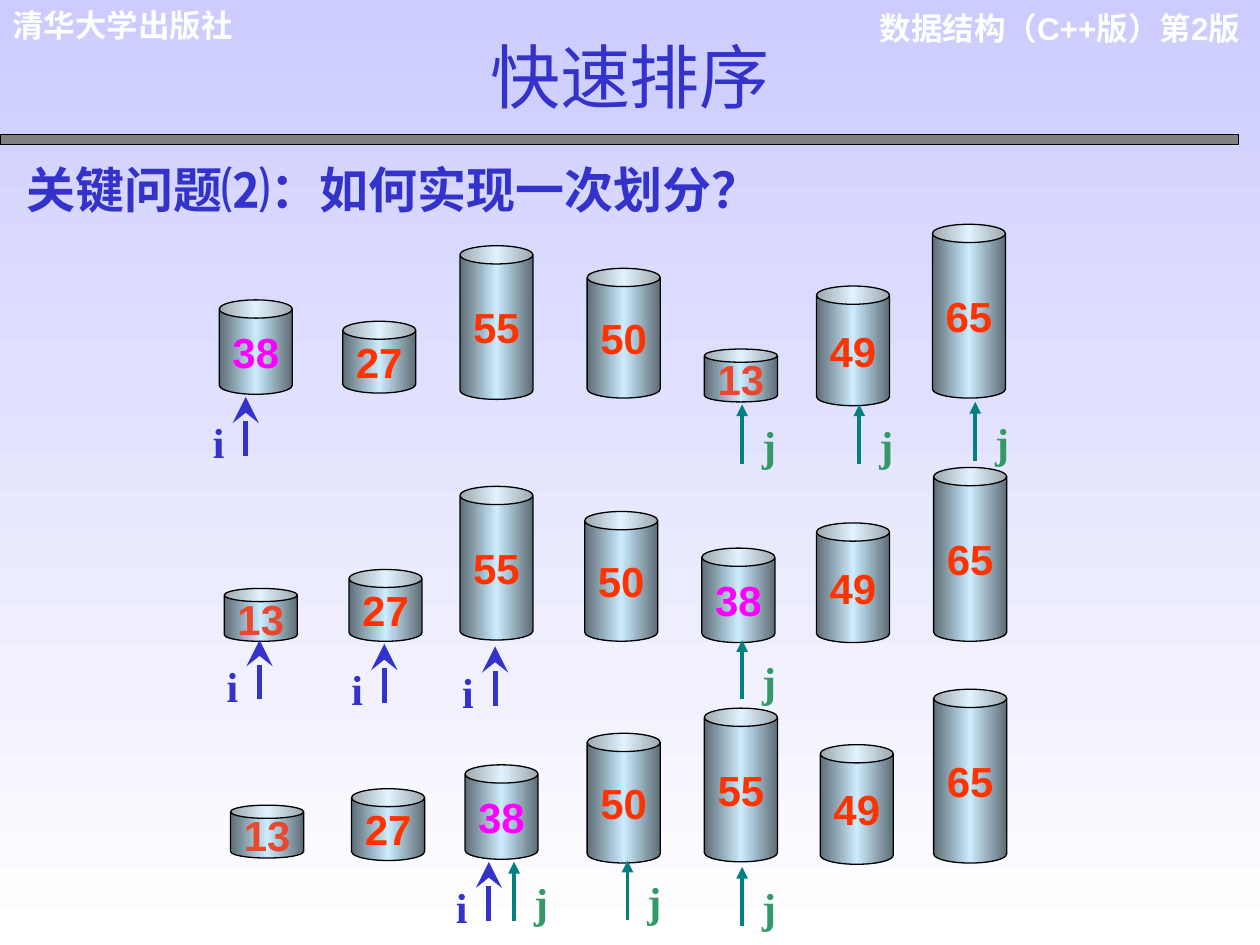
from lxml import etree
from pptx import Presentation
from pptx.dml.color import RGBColor
from pptx.enum.shapes import MSO_CONNECTOR, MSO_SHAPE
from pptx.enum.text import MSO_ANCHOR, MSO_AUTO_SIZE, PP_ALIGN
from pptx.oxml.ns import qn
from pptx.util import Pt

PX = 9144  # 100 px to the inch
LEFT, CENTER, RIGHT = PP_ALIGN.LEFT, PP_ALIGN.CENTER, PP_ALIGN.RIGHT
MIDDLE, TOP, BOTTOM = MSO_ANCHOR.MIDDLE, MSO_ANCHOR.TOP, MSO_ANCHOR.BOTTOM
GROW, FIXED = MSO_AUTO_SIZE.SHAPE_TO_FIT_TEXT, MSO_AUTO_SIZE.NONE
CAN, RECTANGLE, STRAIGHT = MSO_SHAPE.CAN, MSO_SHAPE.RECTANGLE, MSO_CONNECTOR.STRAIGHT
CJK = "Noto Sans CJK SC"
COLORS = {
    "sky": "CCCCFF", "white": "FFFFFF", "black": "000000", "gray": "808080",
    "steel": "5E6D76", "shine": "CCECFF", "blue": "3333CC", "teal": "008080",
    "green": "339966", "orange": "FF3300", "brick": "E8492E", "pink": "FF00FF",
}
COLORS = {name: RGBColor.from_string(code) for name, code in COLORS.items()}


def set_text(box, spans, size, color, bold=True, align=LEFT, anchor=TOP,
             wrap=True, auto_size=FIXED):
    frame = box.text_frame
    layout = {"word_wrap": wrap, "auto_size": auto_size, "vertical_anchor": anchor}
    for name, value in layout.items():
        setattr(frame, name, value)
    para = frame.paragraphs[0]
    para.alignment = align
    for text, font_name in spans:
        span = para.add_run()
        span.text = text
        for name, value in {"size": Pt(size), "bold": bold, "name": font_name}.items():
            setattr(span.font, name, value)
        span.font.color.rgb = COLORS[color]
        etree.SubElement(span.font._element, qn("a:ea"), typeface=CJK)


def set_gradient(fill, colors, angle):
    fill.gradient()
    fill.gradient_angle = angle
    stops = fill._fill._gradFill.find(qn("a:gsLst"))
    for stop in list(stops):
        stops.remove(stop)
    for index, name in enumerate(colors):
        position = 100000 * index // (len(colors) - 1)
        stop = etree.SubElement(stops, qn("a:gs"), pos=str(position))
        etree.SubElement(stop, qn("a:srgbClr"), val=str(COLORS[name]))


deck = Presentation()
deck.slide_width, deck.slide_height = 1000 * PX, 750 * PX
page = deck.slides.add_slide(deck.slide_layouts[6])
set_gradient(page.background.fill, ["sky", "white"], 270)

# Header bar
bar = page.shapes.add_shape(RECTANGLE, 0, 107 * PX, 983 * PX, 8 * PX)
bar.shadow.inherit = False
bar.fill.solid()
bar.fill.fore_color.rgb = COLORS["gray"]
bar.line.color.rgb = COLORS["black"]
bar.line.width = Pt(0.75)

# Header, title and question
texts = [
    ((677, 2, 317, 70), [("数据结构（C++版）第2版", "Arial")],
     {"size": 18, "color": "white", "align": RIGHT, "auto_size": GROW}),
    ((0, 0, 271, 40), [("清华大学出版社", "Arial")],
     {"size": 18, "color": "white", "auto_size": GROW}),
    ((11, 122, 828, 57), [("关键问题⑵：", CJK), ("如何实现一次划分？", "Arial")],
     {"size": 28, "color": "blue", "auto_size": GROW}),
    ((0, 25, 1000, 73), [("快速", "Lato"), ("排序", CJK)],
     {"size": 40, "color": "blue", "bold": False, "align": CENTER, "anchor": BOTTOM}),
]
for place, spans, style in texts:
    box = page.shapes.add_textbox(*[length * PX for length in place])
    set_text(box, spans, **style)

# Title shadow
title = box
for span in title.text_frame.paragraphs[0].runs:
    effects = etree.Element(qn("a:effectLst"))
    shadow = etree.SubElement(effects, qn("a:outerShdw"), dist="25400", dir="2700000")
    etree.SubElement(shadow, qn("a:srgbClr"), val=str(COLORS["gray"]))
    span.font._element.find(qn("a:solidFill")).addnext(effects)

# Cylinders: each row lists (value, left, top)
heights = {13: 42, 27: 57, 38: 75, 49: 95, 50: 103, 55: 122, 65: 138}
value_colors = {13: "brick", 38: "pink"}
rows = [
    [(38, 174, 238), (27, 272, 255), (55, 365, 195), (50, 466, 213),
     (13, 559, 277), (49, 648, 227), (65, 740, 178)],
    [(13, 178, 467), (27, 277, 452), (55, 365, 386), (50, 464, 406),
     (38, 557, 435), (49, 648, 415), (65, 741, 371)],
    [(13, 183, 639), (27, 279, 626), (38, 369, 607), (50, 466, 582),
     (55, 559, 562), (49, 651, 591), (65, 741, 547)],
]
for row in rows:
    for value, left, top in row:
        can = page.shapes.add_shape(CAN, left * PX, top * PX, 58 * PX, heights[value] * PX)
        can.shadow.inherit = False
        set_gradient(can.fill, ["steel", "shine", "steel"], 0)
        can.line.color.rgb = COLORS["black"]
        can.line.width = Pt(0.75)
        set_text(can, [(str(value), "Arial")], 24, value_colors.get(value, "orange"),
                 align=CENTER, anchor=MIDDLE, wrap=False)

# Index pointers: tips of the arrows, with the label beside each
pointers = {
    "i": {"tips": [(195, 315), (206, 508), (305, 511), (393, 513), (388, 684)],
          "line": "blue", "text": "blue", "width": 3, "head": "stealth",
          "head_size": "lg", "shift": (-36, 11)},
    "j": {"tips": [(774, 319), (682, 321), (589, 321), (589, 508), (498, 683),
                   (408, 684), (589, 688)],
          "line": "teal", "text": "green", "width": 2.25, "head": "triangle",
          "head_size": "med", "shift": (6, 7)},
}
for label, style in pointers.items():
    for x, y in style["tips"]:
        arrow = page.shapes.add_connector(STRAIGHT, x * PX, (y + 47) * PX, x * PX, y * PX)
        arrow.line.color.rgb = COLORS[style["line"]]
        arrow.line.width = Pt(style["width"])
        etree.SubElement(arrow.line._get_or_add_ln(), qn("a:tailEnd"), type=style["head"],
                         w=style["head_size"], len=style["head_size"])
        etree.SubElement(arrow._element.spPr, qn("a:effectLst"))
        shift_x, shift_y = style["shift"]
        box = page.shapes.add_textbox((x + shift_x) * PX, (y + shift_y) * PX, 25 * PX, 50 * PX)
        set_text(box, [(label, "Times New Roman")], 24, style["text"], auto_size=GROW)

deck.save("out.pptx")
